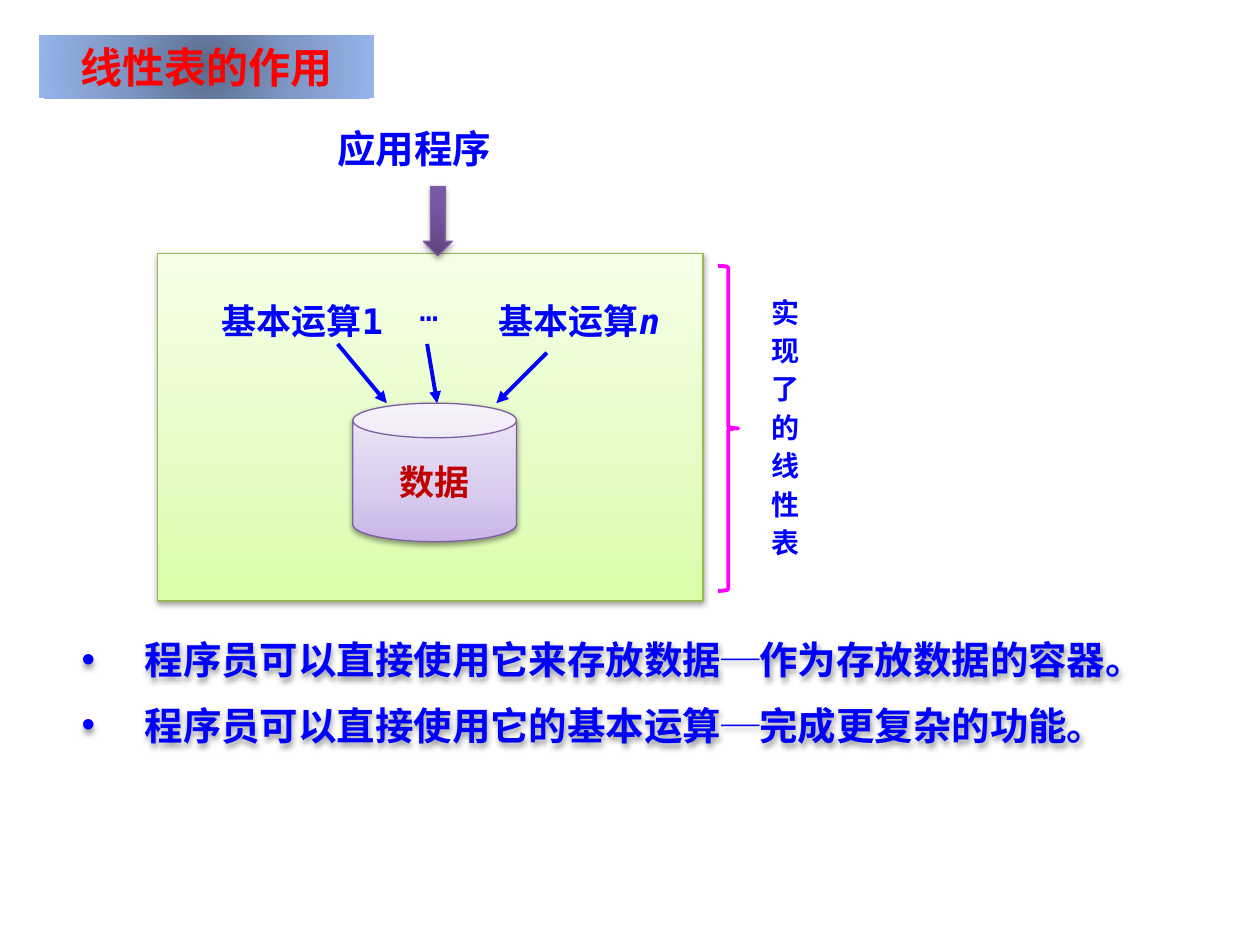
from lxml import etree
from pptx import Presentation
from pptx import util as u
from pptx.dml.color import RGBColor
from pptx.enum import shapes, text
from pptx.oxml.ns import qn

SHAPE = shapes.MSO_SHAPE
FONT, BLUE, PURPLE = "DejaVu Sans Mono", "0000FF", "7D60A0"
UP = ("lin", {"ang": 270 * 60000, "scaled": 0})


def grid(*cells):
    """Turn grid cells, 100 columns by 75 rows, into lengths."""
    return [u.Inches(c / 10) for c in cells]


def rgb(value):
    """Return a colour from a hex string."""
    return RGBColor.from_string(value)


def child(parent, tag, **attrs):
    """Append a DrawingML element with the given attributes."""
    return etree.SubElement(parent, qn("a:" + tag), {k: str(v) for k, v in attrs.items()})


def add_shadow(sp, alpha=38, dist=1.6):
    """Give a shape a soft black shadow below it."""
    sp.shadow.inherit = False
    effects = sp._element.spPr.find(qn("a:effectLst"))
    outer = child(effects, "outerShdw", blurRad=u.Pt(3.1), dist=u.Pt(dist),
                  dir=90 * 60000, rotWithShape=0)
    child(child(outer, "srgbClr", val="000000"), "alpha", val=alpha * 1000)


def add_gradient(sp, stops, direction=UP):
    """Fill a shape with colour stops along a line or a circle."""
    grad = child(sp._element.spPr, "gradFill", rotWithShape=1)
    stop_list = child(grad, "gsLst")
    for pos, colour in stops:
        child(child(stop_list, "gs", pos=pos * 1000), "srgbClr", val=colour)
    tag, attrs = direction
    shade = child(grad, tag, **attrs)
    if tag != "lin":
        child(shade, "fillToRect", **dict.fromkeys("ltrb", 50000))


def add_figure(s, kind, box, stops=(), line=None, width=0.75, direction=UP):
    """Add a preset shape with an optional gradient and outline."""
    sp = s.shapes.add_shape(kind, *grid(*box))
    if stops:
        add_gradient(sp, stops, direction)
    else:
        sp.fill.background()
    if line:
        sp.line.color.rgb = rgb(line)
        sp.line.width = u.Pt(width)
    else:
        sp.line.fill.background()
    sp.shadow.inherit = False
    return sp


def add_run(p, words, size, colour=BLUE, bold=True, italic=None):
    """Add a formatted run to a paragraph."""
    r = p.add_run()
    r.text = words
    for name, value in dict(name=FONT, size=u.Pt(size), bold=bold, italic=italic).items():
        setattr(r.font, name, value)
    r.font.color.rgb = rgb(colour)
    return r


def set_frame(sp, **extra):
    """Set wrapping, anchor and fitting of a text frame."""
    tf = sp.text_frame
    values = dict(word_wrap=True, vertical_anchor=text.MSO_ANCHOR.TOP,
                  auto_size=text.MSO_AUTO_SIZE.SHAPE_TO_FIT_TEXT)
    for name, value in {**values, **extra}.items():
        setattr(tf, name, value)
    return tf


def space_before(p, align=text.PP_ALIGN.LEFT):
    """Align a paragraph and put half a line above it."""
    p.alignment = align
    pPr = p._p.get_or_add_pPr()
    child(child(pPr, "spcBef"), "spcPct", val=50000)
    return pPr


def add_label(s, box, words, size, bold=True, align=text.PP_ALIGN.LEFT):
    """Add a one-paragraph text box."""
    sp = s.shapes.add_textbox(*grid(*box))
    p = set_frame(sp).paragraphs[0]
    space_before(p, align)
    add_run(p, words, size, bold=bold)
    return sp


def add_vertical_label(s, box, words, size, spacing):
    """Add a label whose characters stand in one column."""
    sp = add_label(s, box, words, size, align=text.PP_ALIGN.CENTER)
    tf = sp.text_frame
    tf._txBody.bodyPr.set("vert", "eaVert")
    tf.paragraphs[0].runs[0].font._element.set("spc", str(spacing * 100))


def add_bullets(s, box, lines, size):
    """Add a shadowed bullet list."""
    sp = s.shapes.add_textbox(*grid(*box))
    tf = set_frame(sp)
    for i, words in enumerate(lines):
        p = tf.add_paragraph() if i else tf.paragraphs[0]
        pPr = space_before(p)
        pPr.set("marL", str(u.Inches(0.5)))
        pPr.set("indent", str(u.Inches(-0.5)))
        child(pPr, "buFont", typeface="Arial")
        child(pPr, "buChar", char="•")
        add_run(p, words, size)
    add_shadow(sp)


def add_arrow(s, start, end):
    """Add a straight blue arrow."""
    sp = s.shapes.add_connector(shapes.MSO_CONNECTOR.STRAIGHT, *grid(*start, *end))
    sp.line.color.rgb = rgb(BLUE)
    sp.line.width = u.Pt(2.25)
    child(sp.line._get_or_add_ln(), "tailEnd", type="triangle")
    child(sp._element.spPr, "effectLst")


def add_title(s, box, words):
    """Add the title on its radial band."""
    sp = add_figure(s, SHAPE.RECTANGLE, box, [(0, "586A8B"), (50, "7E97C5"), (100, "95B4EA")],
                    direction=("path", {"path": "circle"}))
    p = set_frame(sp).paragraphs[0]
    space_before(p, text.PP_ALIGN.CENTER)
    add_run(p, words, 24, "FF0000")


def add_store(s, box, words):
    """Add the data cylinder."""
    sp = add_figure(s, SHAPE.CAN, box, [(0, "C9B5E8"), (35, "D8CBEE"), (100, "F0EAF9")], PURPLE)
    sp.adjustments[0] = 0.25
    add_shadow(sp)
    tf = set_frame(sp, word_wrap=False, vertical_anchor=text.MSO_ANCHOR.MIDDLE,
                   auto_size=text.MSO_AUTO_SIZE.NONE)
    p = tf.paragraphs[0]
    p.alignment = text.PP_ALIGN.CENTER
    add_run(p, words, 20, "C00000")


def main():
    """Build the slide and save it."""
    prs = Presentation()
    prs.slide_width, prs.slide_height = grid(100, 75)
    s = prs.slides.add_slide(prs.slide_layouts[6])

    panel = add_figure(s, SHAPE.RECTANGLE, (12.5, 20.1, 43.3, 27.6),
                       [(0, "DAFDA7"), (35, "E4FCC2"), (100, "F5FFE7")], "98B955")
    add_shadow(panel)
    add_store(s, (28, 32, 13, 11), "数据")

    add_label(s, (16.6, 23.3, 15, 4.3), "基本运算1", 20)
    last = add_label(s, (38.6, 23.3, 15, 4.3), "基本运算", 20)
    add_run(last.text_frame.paragraphs[0], "n", 20, italic=True)
    add_label(s, (32.3, 22.5, 5.5, 4), "…", 18, bold=False)
    for start, end in (((26.8, 27.3), 30.7), ((43.4, 28), 39.4), ((33.9, 27.3), 34.7)):
        add_arrow(s, start, (end, 32))

    add_label(s, (25.8, 9.4, 19.5, 4.7), "应用程序", 22)
    add_bullets(s, (5.5, 50, 88.3, 10.3),
                ["程序员可以直接使用它来存放数据─作为存放数据的容器。",
                 "程序员可以直接使用它的基本运算─完成更复杂的功能。"], 22)
    call = add_figure(s, SHAPE.DOWN_ARROW, (33.6, 14.8, 2.3, 5.5),
                      [(0, "5F4480"), (80, "7B58A6"), (100, "7C57A8")], PURPLE)
    add_shadow(call, 35, 1.8)
    add_title(s, (3.1, 2.8, 26.6, 5), "线性表的作用")

    add_vertical_label(s, (59.4, 22.7, 4.7, 23.4), "实现了的线性表", 16, 6)
    add_figure(s, SHAPE.RIGHT_BRACE, (57, 21.1, 1.6, 25.8), line="FF00FF", width=2.25)
    prs.save("out.pptx")


if __name__ == "__main__":
    main()
